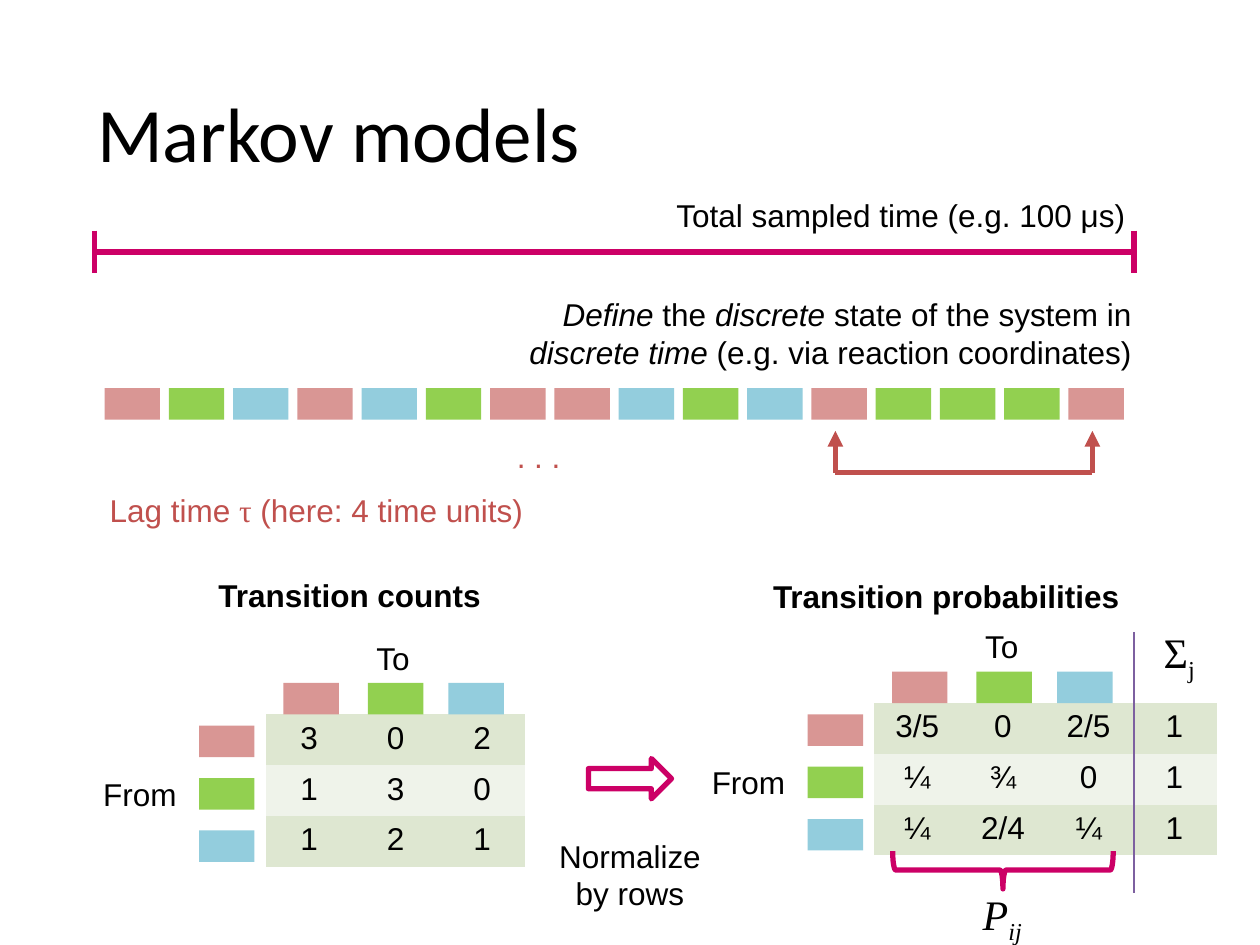
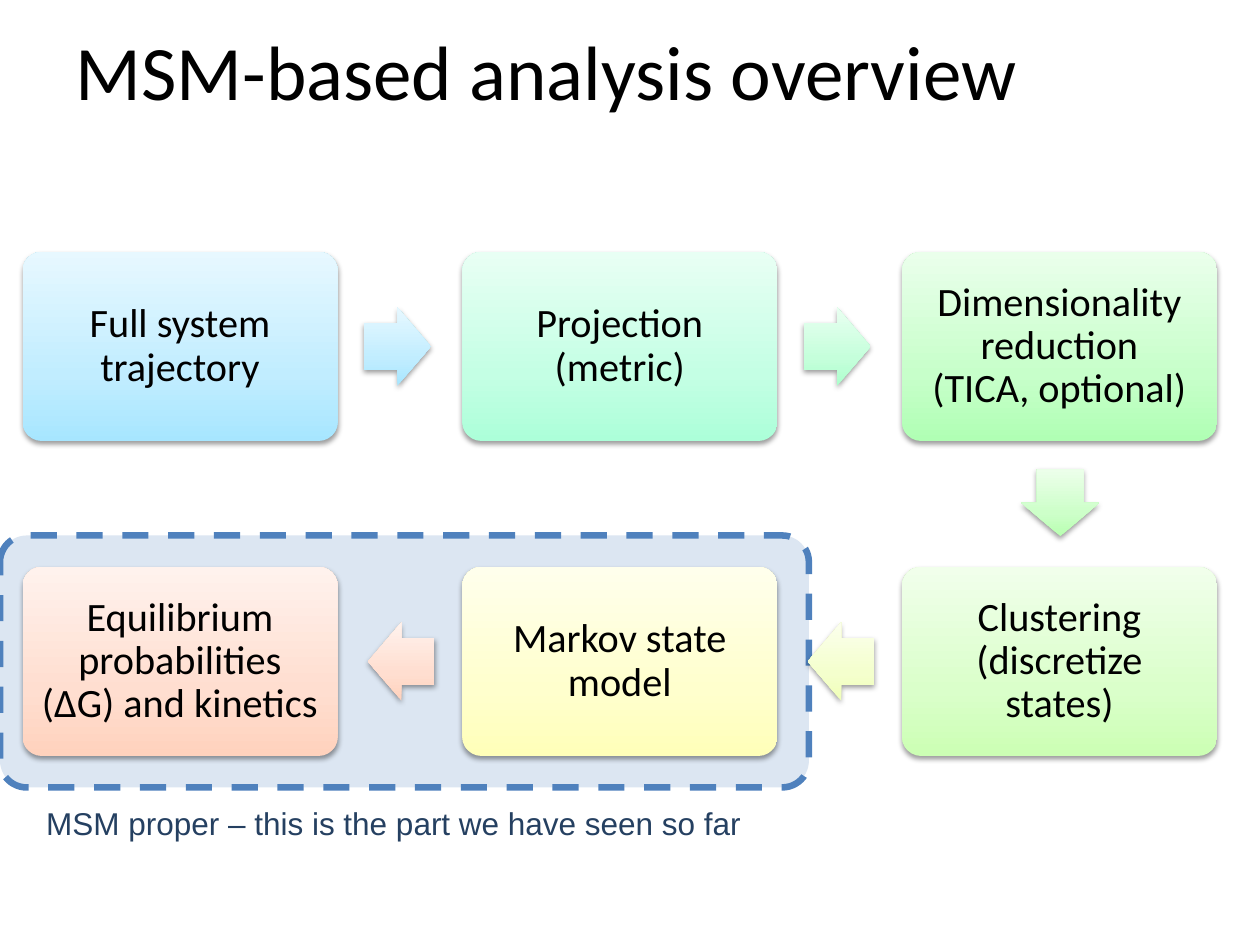
from copy import deepcopy

from lxml.etree import SubElement
from pptx import Presentation
from pptx.dml.color import RGBColor
from pptx.enum.dml import MSO_LINE
from pptx.enum.shapes import MSO_CONNECTOR, MSO_SHAPE
from pptx.enum.text import MSO_ANCHOR, PP_ALIGN
from pptx.oxml.ns import qn
from pptx.util import Inches, Pt

rgb = RGBColor.from_string

BLACK, MAGENTA, RUST, PURPLE = "000000", "CC0066", "C0504D", "7D60A0"
STATE_COLORS = {"A": "D99694", "B": "92D050", "C": "93CDDD"}
ROW_FILLS = ["DEE7D1", "EFF3EA"]
SERIF = "Times New Roman"
NO_GRID_STYLE = "{2D5ABB26-0587-4C30-8999-92F81FD0307C}"


def add_text(slide, box, runs, color=BLACK, size=18, font="Arial",
             align=PP_ALIGN.CENTER, wrap=False):
    """Add a text box; each run is (text, marks): b, i, t = serif, s = subscript."""
    shape = slide.shapes.add_textbox(*map(Inches, box))
    shape.text_frame.word_wrap = wrap
    paragraph = shape.text_frame.paragraphs[0]
    paragraph.alignment = align
    for text, marks in runs:
        if text == "\n":
            paragraph.add_line_break()
            continue
        run = paragraph.add_run()
        run.text = text
        run.font.size = Pt(size)
        run.font.name = SERIF if "t" in marks else font
        run.font.bold = "b" in marks
        run.font.italic = "i" in marks
        run.font.color.rgb = rgb(color)
        if "s" in marks:
            run.font._element.set("baseline", "-25000")


def add_line(slide, start, end, color, width=3, arrow=False):
    line = slide.shapes.add_connector(
        MSO_CONNECTOR.STRAIGHT, *map(Inches, start + end))
    line.line.color.rgb = rgb(color)
    line.line.width = Pt(width)
    if arrow:
        SubElement(line.line._get_or_add_ln(), qn("a:tailEnd"), type="triangle")
    SubElement(line._element.spPr, qn("a:effectLst"))


presentation = Presentation()
presentation.slide_width, presentation.slide_height = Inches(10), Inches(7.5)

# Slides and their titles
slides = []
for title_text, title_box in [
    ("Markov models", (0.67, 0.42, 9.01, 1.25)),
    ("MSM-based analysis overview", (0.5, 0.08, 9, 0.95)),
]:
    slide = presentation.slides.add_slide(presentation.slide_layouts[5])
    title = slide.shapes.title
    title.left, title.top, title.width, title.height = map(Inches, title_box)
    title.text_frame.text = title_text
    title.text_frame.vertical_anchor = MSO_ANCHOR.MIDDLE
    paragraph = title.text_frame.paragraphs[0]
    paragraph.alignment = PP_ALIGN.LEFT
    paragraph.font.size = Pt(44)
    paragraph.font.name = "Calibri"
    paragraph.font.color.rgb = rgb(BLACK)
    slides.append(slide)
markov, overview = slides

# Sampled time span
add_line(markov, (0.75, 2), (9, 2), MAGENTA)
for x in (0.75, 9):
    add_line(markov, (x, 1.83), (x, 2.17), MAGENTA)
add_text(markov, (5.25, 1.51, 3.8, 0.4), [("Total sampled time (e.g. 100 μs)", "")])
add_text(markov, (3.58, 2.29, 5.5, 0.71), [
    ("Define", "i"), (" the ", ""), ("discrete ", "i"),
    ("state of the system in ", ""), ("discrete time ", "i"),
    ("(e.g. via reaction coordinates)", "")], align=PP_ALIGN.RIGHT, wrap=True)

# Lag time
for x in (8.67, 6.63):
    add_line(markov, (x, 3.75), (x, 3.42), RUST, arrow=True)
add_line(markov, (6.63, 3.75), (8.67, 3.75), RUST)
add_text(markov, (0.75, 3.85, 3.59, 0.4), [
    ("Lag time ", ""), ("τ", "t"), (" (here: 4 time units) ", "")], RUST)
add_text(markov, (4, 3.42, 0.55, 0.4), [(". . .", "")], RUST)

# State blocks: the trajectory, then the row and column heads of both matrices
blocks = [(0.83 + 0.51 * i, 3.08, state)
          for i, state in enumerate("ABCACBAACBCABBBA")]

matrices = [
    (0, 0, 2.06, ["3 0 2", "1 3 0", "1 2 1"]),
    (4.83, -0.09, 2.72, ["3/5 0 2/5 1", "¼ ¾ 0 1", "¼ 2/4 ¼ 1"]),
]
for dx, dy, width, rows in matrices:
    for i, (state, head_x) in enumerate(zip("ABC", (2.25, 2.92, 3.56))):
        blocks.append((1.58 + dx, 5.76 + 0.415 * i + dy, state))
        blocks.append((head_x + dx, 5.42 + dy, state))
    add_text(markov, (0.42 + dx, 6.1 + dy, 1.08, 0.4), [("From", "")],
             align=PP_ALIGN.RIGHT, wrap=True)
    add_text(markov, (2.58 + dx, 5.02 + dy, 1.08, 0.4), [("To", "")], wrap=True)

    values = [row.split() for row in rows]
    frame = markov.shapes.add_table(
        len(values), len(values[0]),
        *map(Inches, (2.11 + dx, 5.67 + dy, width, 1.21)))
    table = frame.table
    table.first_row = table.horz_banding = False
    frame._element.find(".//" + qn("a:tableStyleId")).text = NO_GRID_STYLE
    for r, row_values in enumerate(values):
        for c, value in enumerate(row_values):
            cell = table.cell(r, c)
            cell.text_frame.text = value
            cell.fill.solid()
            cell.fill.fore_color.rgb = rgb(ROW_FILLS[r % 2])
            paragraph = cell.text_frame.paragraphs[0]
            paragraph.alignment = PP_ALIGN.CENTER
            paragraph.font.size = Pt(18)
            paragraph.font.name = "Arial"
            paragraph.font.color.rgb = rgb(BLACK)

for x, y, state in blocks:
    block = markov.shapes.add_shape(
        MSO_SHAPE.RECTANGLE, *map(Inches, (x, y, 0.44, 0.25)))
    block.shadow.inherit = False
    block.fill.solid()
    block.fill.fore_color.rgb = rgb(STATE_COLORS[state])
    block.line.fill.background()

# Matrix headings, normalization arrow and brace
add_text(markov, (1.62, 4.52, 2.31, 0.4), [("Transition counts", "b")])
add_text(markov, (6.02, 4.53, 2.98, 0.4), [("Transition probabilities", "b")])
for kind, box, rotation, adjustments in [
    (MSO_SHAPE.RIGHT_ARROW, (4.67, 6.02, 0.66, 0.32), 0, (0.5, 0.5)),
    (MSO_SHAPE.LEFT_BRACE, (7.81, 6.03, 0.3, 1.75), 270, (0.08, 0.5)),
]:
    shape = markov.shapes.add_shape(kind, *map(Inches, box))
    shape.shadow.inherit = False
    shape.rotation = rotation
    shape.adjustments[0], shape.adjustments[1] = adjustments
    shape.fill.background()
    shape.line.color.rgb = rgb(MAGENTA)
    shape.line.width = Pt(3)
add_text(markov, (4.33, 6.59, 1.34, 0.71),
         [("Normalize", ""), ("\n", ""), ("by rows", "")])
add_line(markov, (9, 5.02), (9, 7.09), PURPLE, 0.75)
add_text(markov, (9.13, 4.92, 0.46, 0.5), [("Σ", ""), ("j", "s")],
         size=24, font=SERIF)
add_text(markov, (7.69, 7, 0.53, 0.5), [("P", "i"), ("ij", "is")],
         size=24, font=SERIF)

# Frame around the steps that form the model proper
frame = overview.shapes.add_shape(
    MSO_SHAPE.ROUNDED_RECTANGLE, *map(Inches, (0, 4.25, 6.42, 2)))
frame.shadow.inherit = False
frame.adjustments[0] = 0.106
frame.fill.solid()
frame.fill.fore_color.rgb = rgb("DCE6F2")
frame.line.color.rgb = rgb("4F81BD")
frame.line.width = Pt(3.75)
frame.line.dash_style = MSO_LINE.DASH
add_text(overview, (0.24, 6.33, 5.77, 0.4),
         [("MSM proper – this is the part we have seen so far", "")], "254061")

# Workflow steps on a grid of columns and rows, with the arrows between them
columns, step_rows = [0.18, 3.67, 7.16], [2, 4.5]
blue = ("A7E6FF", "C1EDFF", "E7F8FF")
peach = ("FFD2BD", "FFDED0", "FFF2ED")
steps = [
    (0, 0, "Full system trajectory", blue),
    (1, 0, "Projection (metric)", ("ACFFD9", "C4FFE4", "E8FFF4")),
    (2, 0, "Dimensionality reduction\n(TICA, optional)",
     ("B0FFB4", "C7FFCA", "EAFFEB")),
    (2, 1, "Clustering (discretize states)", ("CCFFB4", "DAFFCA", "F1FFEB")),
    (1, 1, "Markov state model", ("FFFFB9", "FFFFCD", "FFFFEC")),
    (0, 1, "Equilibrium probabilities (ΔG) and kinetics", peach),
]
arrows = [
    (2.89, 2.44, 0, blue),
    (6.38, 2.44, 0, ("ADFFCD", "C5FFDB", "E9FFF1")),
    (8.15, 3.68, 90, ("B9FFB2", "CDFFC9", "ECFFEA")),
    (6.41, 4.94, 180, ("F0FFB8", "F4FFCD", "FBFFEC")),
    (2.92, 4.94, 180, peach),
]
shaded = []
for column, row, text, colors in steps:
    step = overview.shapes.add_shape(
        MSO_SHAPE.ROUNDED_RECTANGLE,
        *map(Inches, (columns[column], step_rows[row], 2.5, 1.5)))
    step.adjustments[0] = 0.1
    text_frame = step.text_frame
    text_frame.word_wrap = True
    text_frame.vertical_anchor = MSO_ANCHOR.MIDDLE
    text_frame.margin_left = text_frame.margin_right = Inches(0.1)
    text_frame.margin_top = text_frame.margin_bottom = Inches(0.1)
    paragraph = text_frame.paragraphs[0]
    paragraph.text = text
    paragraph.alignment = PP_ALIGN.CENTER
    paragraph.line_spacing = 0.9
    for run in paragraph.runs:
        run.font.size = Pt(23)
        run.font.name = "Calibri"
        run.font.color.rgb = rgb(BLACK)
    shaded.append((step, colors))
for x, y, rotation, colors in arrows:
    arrow = overview.shapes.add_shape(
        MSO_SHAPE.RIGHT_ARROW, *map(Inches, (x, y, 0.53, 0.62)))
    arrow.adjustments[0], arrow.adjustments[1] = 0.6, 0.5
    arrow.rotation = rotation
    shaded.append((arrow, colors))

# Three-stop gradient and soft shadow of every step and arrow
for shape, colors in shaded:
    shape.line.fill.background()
    shape.fill.gradient()
    shape.fill.gradient_angle = 90
    properties = shape._element.spPr
    properties.find(qn("a:gradFill")).set("rotWithShape", "0")
    stop_list = properties.find(".//" + qn("a:gsLst"))
    stop_list.insert(1, deepcopy(stop_list[0]))
    for stop, position, color in zip(shape.fill.gradient_stops, (0, 0.35, 1), colors):
        stop.position = position
        stop.color.rgb = rgb(color)
    shape.shadow.inherit = False
    shadow = SubElement(
        properties.find(qn("a:effectLst")), qn("a:outerShdw"),
        blurRad=str(Pt(3.1)), dist=str(Pt(1.6)), dir="5400000", rotWithShape="0")
    shadow_color = SubElement(shadow, qn("a:srgbClr"), val=BLACK)
    SubElement(shadow_color, qn("a:alpha"), val="38000")

presentation.save("out.pptx")
